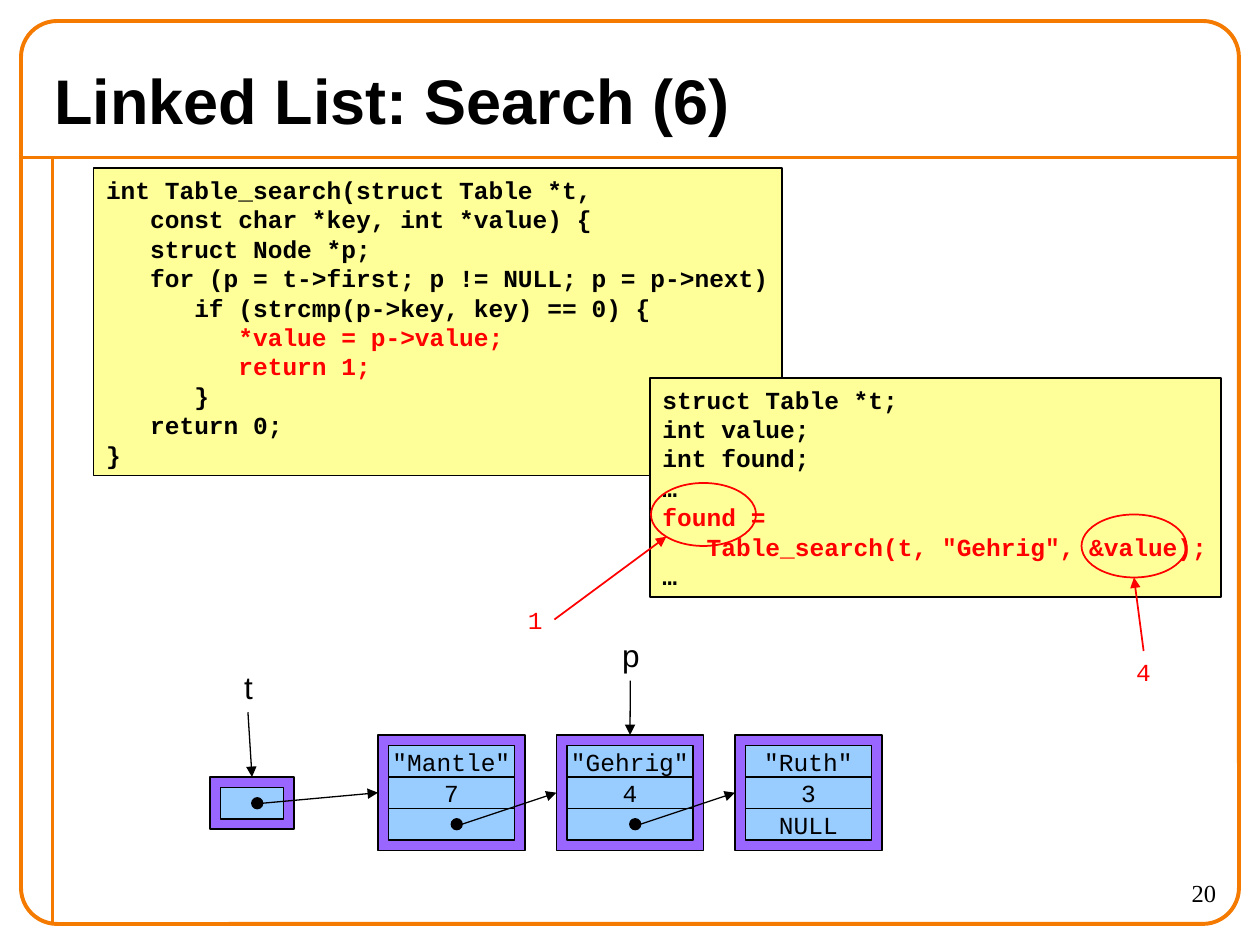
import pptx
import pptx.util
import pptx.dml.color
import pptx.enum.shapes
import pptx.enum.text
import pptx.oxml.ns
import lxml.etree

Pt = pptx.util.Pt
SHAPE = pptx.enum.shapes.MSO_SHAPE
ALIGN = pptx.enum.text.PP_ALIGN
ANCHOR = pptx.enum.text.MSO_ANCHOR

BLACK, RED, ORANGE = "000000", "FF0000", "F47A00"
YELLOW, PURPLE, BLUE = "FFFF99", "9966FF", "99CCFF"

# ---- Content ----
TITLE = "Linked List: Search (6)"
PAGE_NUMBER = "20"
SEARCH_CODE = [
    ("int Table_search(struct Table *t,", BLACK),
    ("   const char *key, int *value) {", BLACK),
    ("   struct Node *p;", BLACK),
    ("   for (p = t->first; p != NULL; p = p->next)", BLACK),
    ("      if (strcmp(p->key, key) == 0) {", BLACK),
    ("         *value = p->value;", RED),
    ("         return 1;", RED),
    ("      }", BLACK),
    ("   return 0;", BLACK),
    ("}", BLACK),
]
CALLER_CODE = [
    ("struct Table *t;", BLACK),
    ("int value;", BLACK),
    ("int found;", BLACK),
    ("…", BLACK),
    ("found =", RED),
    ('   Table_search(t, "Gehrig", &value);', RED),
    ("…", BLACK),
]
# key, value, next (empty where a pointer dot is drawn)
NODES = [('"Mantle"', "7", ""), ('"Gehrig"', "4", ""), ('"Ruth"', "3", "NULL")]

CODE = {"size": Pt(14), "name": "Courier New", "bold": True}
CELL = {"size": Pt(14), "name": "Courier New", "bold": False}
LABEL = {"size": Pt(18), "name": "Arial", "bold": False}
HEADING = {"size": Pt(36), "name": "Arial", "bold": True}
NUMBER = {"size": Pt(14), "name": "Times New Roman", "bold": False}

# text, left, top, width, height, font, colour, alignment, anchor, wrap
LABELS = [
    (PAGE_NUMBER, 630, 498, 72, 30, NUMBER, BLACK, ALIGN.RIGHT, ANCHOR.TOP, True),
    (TITLE, 24, 30, 672, 54, HEADING, BLACK, ALIGN.LEFT, ANCHOR.MIDDLE, True),
    ("t", 132.5, 378, 19.4, 28.8, LABEL, BLACK, ALIGN.LEFT, ANCHOR.TOP, False),
    ("p", 348.5, 360, 24.5, 28.8, LABEL, BLACK, ALIGN.LEFT, ANCHOR.TOP, False),
    ("4", 642.2, 372, 22.3, 24.5, CELL, RED, ALIGN.LEFT, ANCHOR.TOP, False),
    ("1", 294.5, 342, 22.3, 24.5, CELL, RED, ALIGN.LEFT, ANCHOR.TOP, False),
]

# ---- Node geometry ----
NODE_LEFT, NODE_TOP, NODE_STEP = 216, 420, 102
NODE_WIDTH, NODE_HEIGHT = 84, 66
BORDER, CELL_WIDTH, CELL_HEIGHT, DOT = 6, 72, 18, 6


def rgb(colour):
    return pptx.dml.color.RGBColor.from_string(colour)


def write(shape, lines, font, align=ALIGN.LEFT, anchor=ANCHOR.MIDDLE, wrap=False):
    frame = shape.text_frame
    frame.word_wrap = wrap
    frame.vertical_anchor = anchor
    for index, (text, colour) in enumerate(lines):
        para = frame.add_paragraph() if index else frame.paragraphs[0]
        para.alignment = align
        span = para.add_run()
        span.text = text
        for name, value in font.items():
            setattr(span.font, name, value)
        span.font.color.rgb = rgb(colour)


def add_box(page, place, fill=None, line=BLACK, weight=1, kind=SHAPE.RECTANGLE):
    box = page.shapes.add_shape(kind, *map(Pt, place))
    box.shadow.inherit = False
    if fill:
        box.fill.solid()
        box.fill.fore_color.rgb = rgb(fill)
    else:
        box.fill.background()
    box.line.color.rgb = rgb(line)
    box.line.width = Pt(weight)
    return box


def add_line(page, start, end, colour=BLACK, weight=0.75, arrow=True, target=None, side=0):
    line = page.shapes.add_connector(
        pptx.enum.shapes.MSO_CONNECTOR.STRAIGHT, *map(Pt, start + end))
    line.line.color.rgb = rgb(colour)
    line.line.width = Pt(weight)
    if arrow:
        head = lxml.etree.SubElement(line.line._get_or_add_ln(), pptx.oxml.ns.qn("a:tailEnd"))
        head.set("type", "triangle")
    lxml.etree.SubElement(line._element.spPr, pptx.oxml.ns.qn("a:effectLst"))
    if target is not None:
        line.end_connect(target, side)


def add_dot(page, left, top):
    add_box(page, (left, top, DOT, DOT), BLACK, kind=SHAPE.OVAL)
    return left + DOT, top + DOT / 2


def add_node(page, left, texts):
    node = add_box(page, (left, NODE_TOP, NODE_WIDTH, NODE_HEIGHT), PURPLE)
    # The value cell lies below the key and next cells
    for row in (1, 0, 2):
        top = NODE_TOP + BORDER + row * CELL_HEIGHT
        cell = add_box(page, (left + BORDER, top, CELL_WIDTH, CELL_HEIGHT), BLUE)
        if texts[row]:
            write(cell, [(texts[row], BLACK)], CELL, ALIGN.CENTER)
    return node


def main():
    deck = pptx.Presentation()
    deck.slide_width, deck.slide_height = Pt(720), Pt(540)
    page = deck.slides.add_slide(deck.slide_layouts[6])

    # Page frame
    add_line(page, (12, 90), (708, 90), ORANGE, 2.25, arrow=False)
    add_line(page, (30, 90), (30, 528), ORANGE, 2.25, arrow=False)
    frame = add_box(page, (12, 12, 696, 516), None, ORANGE, 2.25, SHAPE.ROUNDED_RECTANGLE)
    frame.adjustments[0] = 0.04

    # Code panels
    for place, lines in [((53.5, 96.2, 393.2, 175.6), SEARCH_CODE),
                         ((371.5, 216, 326.2, 125.3), CALLER_CODE)]:
        write(add_box(page, place, YELLOW), lines, CODE)

    # Title, page number and labels
    for text, left, top, width, height, font, colour, align, anchor, wrap in LABELS:
        label = page.shapes.add_textbox(*map(Pt, (left, top, width, height)))
        write(label, [(text, colour)], font, align, anchor, wrap)

    # Table record and list nodes
    table = add_box(page, (120, 444, 48, 30), PURPLE)
    add_box(page, (126, 450, 36, CELL_HEIGHT), BLUE)
    lefts = [NODE_LEFT + index * NODE_STEP for index in range(len(NODES))]
    nodes = [add_node(page, left, texts) for left, texts in zip(lefts, NODES)]

    # Pointers from the table and from each node to the next
    dots = [(144, 456)] + [(left + NODE_WIDTH / 2, 468) for left in lefts[:-1]]
    for dot, left, node in zip(dots, lefts, nodes):
        start = add_dot(page, *dot)
        add_line(page, start, (left, NODE_TOP + NODE_HEIGHT / 2), target=node, side=1)
    add_line(page, (141.7, 407), (144, 444), target=table)
    add_line(page, (360.2, 389), (360, NODE_TOP), target=nodes[1])

    # Red rings and their arrows
    for left, top in [(618, 294), (372, 276)]:
        add_box(page, (left, top, 60, 36), None, RED, kind=SHAPE.OVAL)
    add_line(page, (653.5, 372), (648, 330), RED, 1)
    add_line(page, (316.8, 354), (380.8, 306.7), RED, 1)

    deck.save("out.pptx")


if __name__ == "__main__":
    main()
